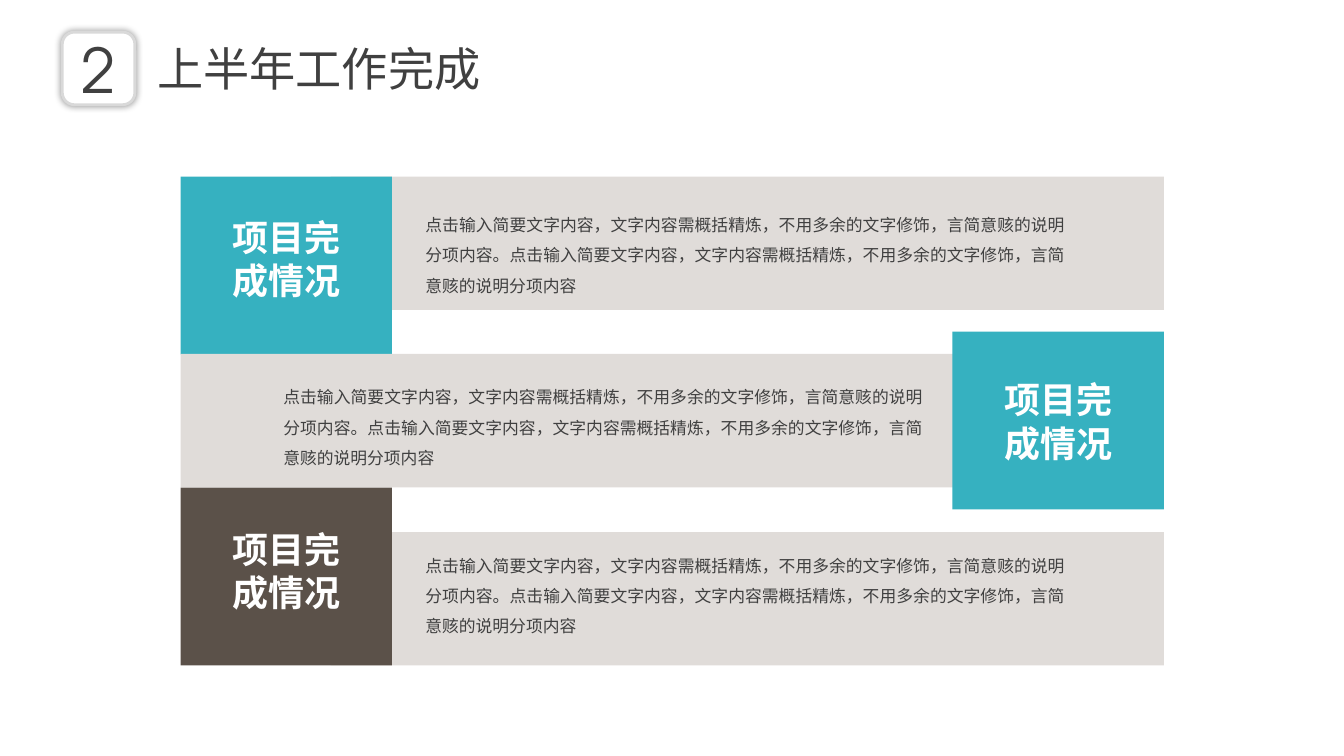
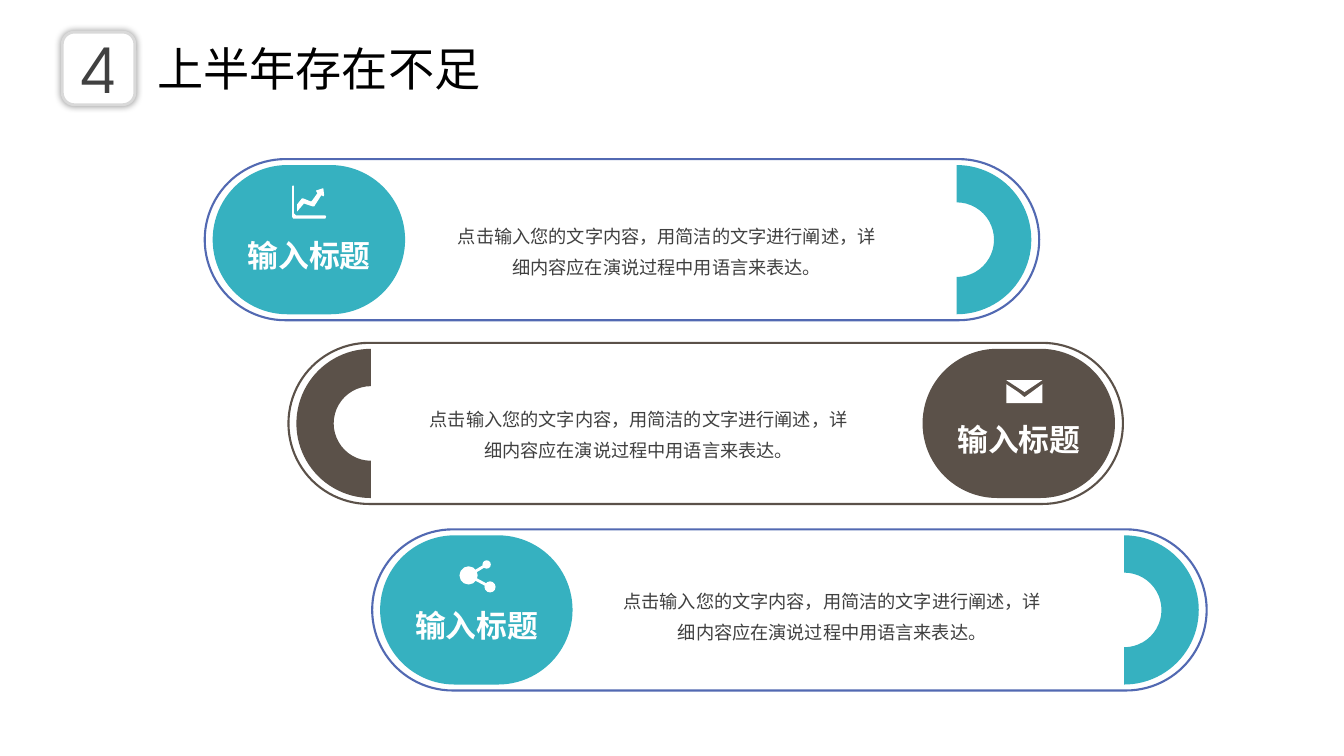
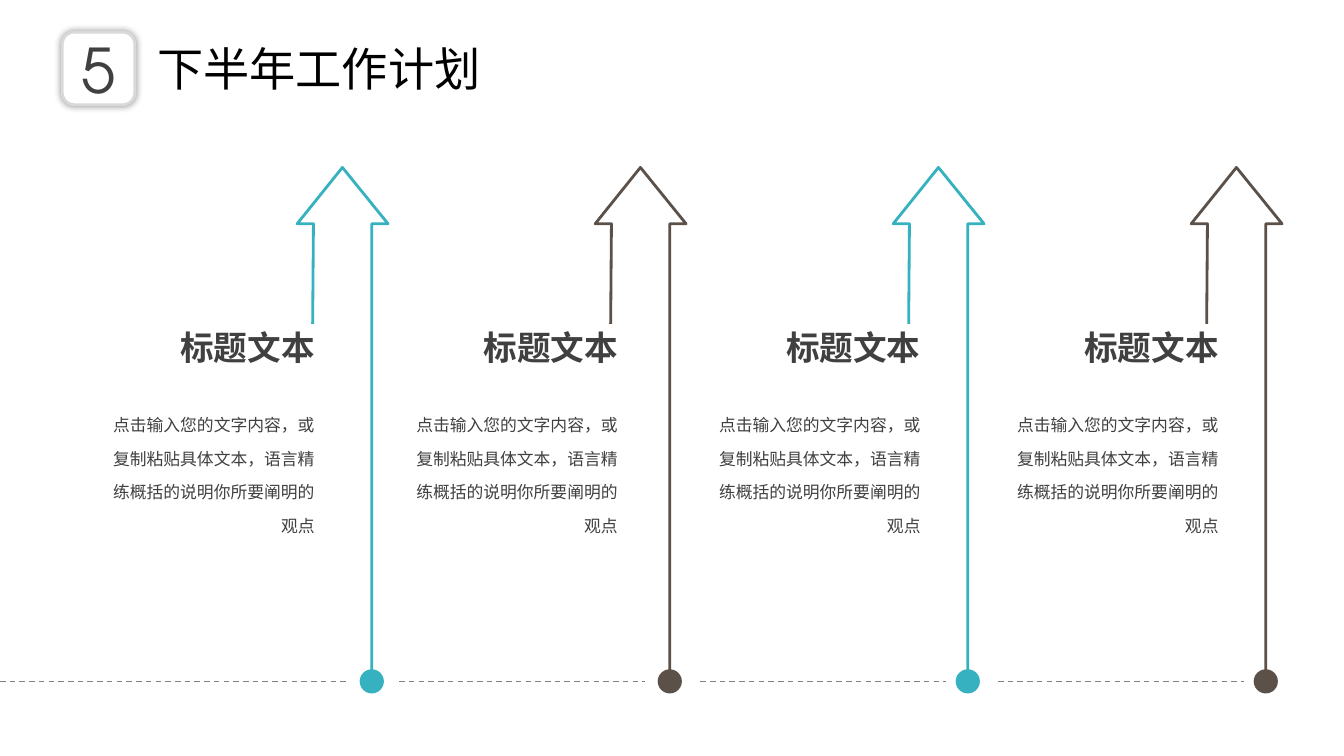
from lxml import etree
from pptx import Presentation
from pptx import util as u
from pptx.dml.color import RGBColor
from pptx.enum import dml, shapes, text
from pptx.oxml import ns

TEAL = RGBColor(0x36, 0xB1, 0xC0)
BROWN = RGBColor(0x5B, 0x51, 0x49)
BLUE = RGBColor(0x52, 0x69, 0xB2)
SAND = RGBColor(0xE0, 0xDC, 0xD9)
INK = RGBColor(0x40, 0x40, 0x40)
GREY = RGBColor(0x80, 0x80, 0x80)
EDGE = RGBColor(0xD9, 0xD9, 0xD9)
WHITE = RGBColor(0xFF, 0xFF, 0xFF)
BLACK = RGBColor(0, 0, 0)

KIND = shapes.MSO_SHAPE
LEFT, MID, RIGHT, EVEN = (text.PP_ALIGN.LEFT, text.PP_ALIGN.CENTER,
                          text.PP_ALIGN.RIGHT, text.PP_ALIGN.JUSTIFY)


class Deck:
    """Shared style plus the slide being drawn; lengths are in centimetres."""
    FACE = "TeX Gyre Adventor"
    HEAD = "Noto Sans CJK SC"

    def __init__(self):
        self.prs = Presentation()
        self.prs.slide_width = u.Cm(33.87)
        self.prs.slide_height = u.Cm(19.05)
        self.slide = None

    def page(self, num, title, ink=BLACK):
        """Start a slide with its numbered badge and heading."""
        self.slide = self.prs.slides.add_slide(self.prs.slide_layouts[6])
        self.words(3.71, 0.89, 8.74, 1.68, title, 33, ink, LEFT,
                   face=self.HEAD, pad=True, wrap=False)
        badge = self.shape(KIND.ROUNDED_RECTANGLE, 1.57, 0.81, 1.83, 1.83,
                           WHITE, EDGE, 2)
        self.glow(badge)
        badge.text_frame.vertical_anchor = text.MSO_ANCHOR.MIDDLE
        self.fill_in(badge.text_frame, num, 44, INK, MID)

    def glow(self, shape):
        """Give a shape a soft, centred shadow."""
        fx = shape._element.spPr.find(ns.qn("a:effectLst"))
        cast = etree.SubElement(fx, ns.qn("a:outerShdw"),
                                blurRad=str(u.Pt(5)), dist="0", dir="0")
        tint = etree.SubElement(cast, ns.qn("a:srgbClr"), val="000000")
        etree.SubElement(tint, ns.qn("a:alpha"), val="40000")

    def paint(self, item, fill=None, line=None, wide=1):
        item.shadow.inherit = False
        if fill is None:
            item.fill.background()
        else:
            item.fill.solid()
            item.fill.fore_color.rgb = fill
        if line is None:
            item.line.fill.background()
        else:
            item.line.color.rgb = line
            item.line.width = u.Pt(wide)
        return item

    def shape(self, kind, x, y, w, h, fill=None, line=None, wide=1):
        item = self.slide.shapes.add_shape(
            kind, u.Cm(x), u.Cm(y), u.Cm(w), u.Cm(h))
        return self.paint(item, fill, line, wide)

    def pill(self, x, y, w, h, fill=None, line=None):
        item = self.shape(KIND.ROUNDED_RECTANGLE, x, y, w, h, fill, line, 1.5)
        item.adjustments[0] = 0.5

    def free(self, x, y, paths, fill=None, line=None, wide=1):
        """Draw outlines given in tenths of a millimetre from x, y."""
        pen = self.slide.shapes.build_freeform(*paths[0][0], scale=u.Cm(0.01))
        for i, path in enumerate(paths):
            if i:
                pen.move_to(*path[0])
            pen.add_line_segments(path[1:], close=fill is not None)
        item = pen.convert_to_shape(u.Cm(x), u.Cm(y))
        return self.paint(item, fill, line, wide)

    def rule(self, x1, y1, x2, y2, ink, wide, dash=None):
        item = self.slide.shapes.add_connector(
            shapes.MSO_CONNECTOR.STRAIGHT,
            u.Cm(x1), u.Cm(y1), u.Cm(x2), u.Cm(y2))
        item.line.color.rgb = ink
        item.line.width = u.Pt(wide)
        if dash:
            item.line.dash_style = dash
        etree.SubElement(item._element.spPr, ns.qn("a:effectLst"))

    def fill_in(self, frame, words, size, ink, align, bold=False,
                face=FACE, lead=None):
        para = frame.paragraphs[0]
        para.alignment = align
        if lead:
            para.line_spacing = lead
        run = para.add_run()
        run.text = words
        font = run.font
        font.size, font.bold, font.name = u.Pt(size), bold, face
        font.color.rgb = ink
        # East Asian glyphs take their line height from this face
        etree.SubElement(font._element, ns.qn("a:ea"), typeface=face)

    def words(self, x, y, w, h, words, size, ink, align, bold=False,
              face=FACE, lead=None, pad=False, wrap=True):
        box = self.slide.shapes.add_textbox(
            u.Cm(x), u.Cm(y), u.Cm(w), u.Cm(h))
        frame = box.text_frame
        frame.word_wrap = wrap
        frame.auto_size = text.MSO_AUTO_SIZE.SHAPE_TO_FIT_TEXT
        if not pad:
            frame.margin_left = frame.margin_right = 0
            frame.margin_top = frame.margin_bottom = 0
        self.fill_in(frame, words, size, ink, align, bold, face, lead)


def done(deck):
    deck.page("2", "上半年工作完成", INK)
    once = "点击输入简要文字内容，文字内容需概括精炼，不用多余的文字修饰，言简意赅的说明分项内容"
    # bar x, y; tile x, y, colour; label y; body x, y
    rows = [
        (8.33, 4.45, 4.55, 4.45, TEAL, 5.31, 10.72, 5.16),
        (4.55, 8.92, 24.0, 8.36, TEAL, 9.4, 7.14, 9.5),
        (8.33, 13.41, 4.55, 12.29, BROWN, 13.16, 10.72, 13.74),
    ]
    for bar_x, bar_y, x, y, hue, label_y, body_x, body_y in rows:
        deck.shape(KIND.RECTANGLE, bar_x, bar_y, 21, 3.36, SAND)
        deck.shape(KIND.RECTANGLE, x, y, 5.33, 4.48, hue)
        deck.words(x + 0.84, label_y, 3.68, 2.46, "项目完成情况", 25.7, WHITE,
                   MID, bold=True, pad=True)
        deck.words(body_x, body_y, 16.13, 2.2, once + "。" + once, 12, INK,
                   EVEN, lead=1.5)


def chart(deck, x, y):
    trend = [(76, 8), (79, 8), (81, 25), (79, 28), (74, 25), (56, 53),
             (51, 53), (30, 46), (13, 66), (13, 48), (25, 33), (28, 33),
             (48, 41), (51, 38), (64, 20), (61, 15), (61, 13)]
    axes = [(3, 0), (5, 3), (5, 71), (10, 76), (84, 76), (86, 79), (84, 84),
            (3, 84), (0, 79), (0, 3)]
    deck.free(x, y, [trend, axes], WHITE)


def mail(deck, x, y):
    flap = [(0, 0), (91, 0), (46, 30)]
    body = [(0, 10), (30, 30), (46, 43), (91, 10), (91, 58), (0, 58)]
    deck.free(x, y, [flap, body], WHITE)


def share(deck, x, y):
    hub_x, hub_y = x + 0.23, y + 0.38
    for dx, dy, size in [(0, 0.15, 0.46), (0.58, 0, 0.21), (0.63, 0.53, 0.28)]:
        deck.shape(KIND.OVAL, x + dx, y + dy, size, size, WHITE)
        deck.rule(hub_x, hub_y, x + dx + size / 2, y + dy + size / 2, WHITE, 2)


def lacks(deck):
    deck.page("4", "上半年存在不足")
    note = "点击输入您的文字内容，用简洁的文字进行阐述，详细内容应在演说过程中用语言来表达。"
    wide, high, gap = 21.03, 4.06, 0.2
    blob, disc = 4.85, 3.76
    # pill top, edge, fill, label on the right, body x, icon, icon offset
    rows = [
        (4.01, BLUE, TEAL, False, 11.4, chart, 2, 0.66),
        (8.64, BROWN, BROWN, True, 10.69, mail, 2.11, 0.94),
        (13.34, BLUE, TEAL, False, 15.57, share, 2, 0.78),
    ]
    for i, (y, edge, hue, flip, body_x, icon, dx, dy) in enumerate(rows):
        x = 5.16 + 2.11 * i
        near, far = x + gap, x + wide - gap
        blob_x = far - blob if flip else near
        top = y + (high - disc) / 2
        deck.pill(x, y, wide, high, line=edge)
        deck.pill(blob_x, top, blob, disc, fill=hue)
        arc = deck.shape(KIND.BLOCK_ARC, near if flip else far - disc, top,
                         disc, disc, hue)
        arc.rotation = 270 if flip else 90
        icon(deck, blob_x + dx, y + dy)
        deck.words(body_x, 5.46 + 4.6 * i, 10.8, 1.47, note, 13, INK, MID,
                   lead=u.Pt(22))
        deck.words(blob_x + 0.73, y + 1.95, 3.4, 0.94, "输入标题", 22, WHITE,
                   MID, bold=True)


def plan(deck):
    deck.page("5", "下半年工作计划")
    note = "点击输入您的文字内容，或复制粘贴具体文本，语言精练概括的说明你所要阐明的观点"
    arrow = [(188, 1295), (188, 142), (229, 142), (114, 0), (0, 142),
             (41, 142), (39, 394)]
    wide, base, dot = 5.16, 17.17, 0.61
    # right edge of the text, dash start, dash end
    cols = [(7.93, 0, 8.74), (15.57, 10.06, 16.26),
            (23.2, 17.65, 23.85), (30.71, 25.15, 31.34)]
    for i, (edge, start, end) in enumerate(cols):
        x = 7.49 + 7.51 * i
        hue = BROWN if i % 2 else TEAL
        deck.words(edge - wide, 8.23, wide, 1.02, "标题文本", 24, INK, RIGHT,
                   bold=True)
        deck.words(edge - wide, 10.11, wide, 3.43, note, 12, INK, RIGHT,
                   lead=u.Pt(24))
        deck.free(x, 4.22, [arrow], line=hue, wide=2)
        deck.shape(KIND.OVAL, x + 1.88 - dot / 2, base - dot / 2, dot, dot,
                   hue)
        deck.rule(start, base, end, base, GREY, 1, dml.MSO_LINE.DASH)


def main():
    deck = Deck()
    for draw in (done, lacks, plan):
        draw(deck)
    deck.prs.save("out.pptx")


if __name__ == "__main__":
    main()
